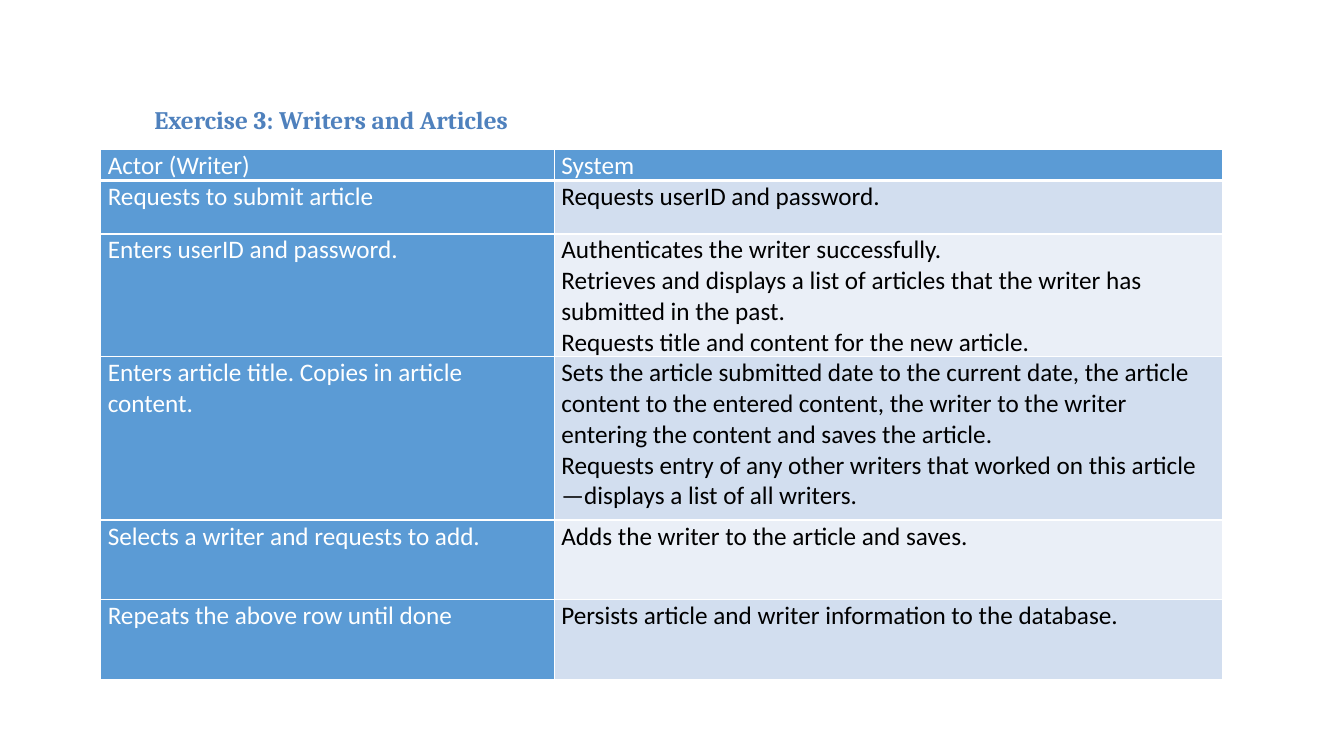
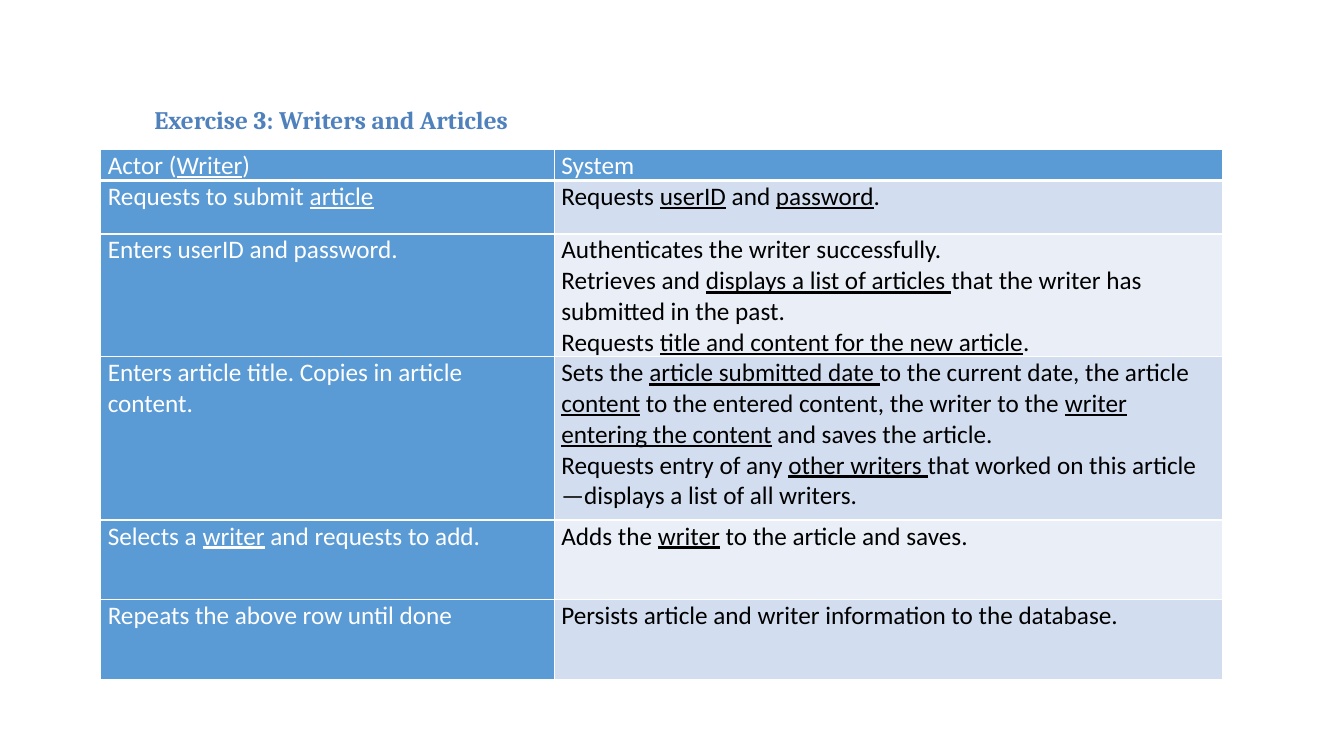
from dataclasses import dataclass

from lxml.etree import SubElement
from pptx import Presentation
from pptx.dml.color import RGBColor as Color
from pptx.enum.text import MSO_ANCHOR as Anchor, MSO_AUTO_SIZE as AutoSize, PP_ALIGN as Align
from pptx.oxml.ns import qn
from pptx.util import Pt


@dataclass(frozen=True)
class Theme:
    title_font: str = "Cambria"
    body_font: str = "Calibri"
    text_size: int = 18
    title: str = "4F81BD"
    accent: str = "5B9BD5"
    dark_band: str = "D2DEEF"
    light_band: str = "EAEFF7"
    white: str = "FFFFFF"
    black: str = "000000"


theme = Theme()

TITLE = "Exercise 3: Writers and Articles"
COLUMN_WIDTHS = [324, 477.4]
ROW_HEIGHTS = [19.5, 38.2, 87.8, 116.6, 57, 57]
UNDERLINE_MARK = "_"
STEPS = [
    (["Actor (_Writer_)"], ["System"]),
    (["Requests to submit _article_"], ["Requests _userID_ and _password_."]),
    (
        ["Enters userID and password."],
        [
            "Authenticates the writer successfully.",
            "Retrieves and _displays a list of articles _that the writer has submitted in the past.",
            "Requests _title and content for the new article_.",
        ],
    ),
    (
        ["Enters article title. Copies in article content."],
        [
            "Sets the _article submitted date _to the current date, the article _content_ to the "
            "entered content, the writer to the _writer entering the content_ and saves the article.",
            "Requests entry of any _other writers _that worked on this article"
            "—displays a list of all writers.",
        ],
    ),
    (["Selects a _writer_ and requests to add."], ["Adds the _writer_ to the article and saves."]),
    (
        ["Repeats the above row until done"],
        ["Persists article and writer information to the database."],
    ),
]


def set_borders(cell, bottom_width):
    properties = cell._tc.get_or_add_tcPr()
    for side, width in (("lnL", 1), ("lnR", 1), ("lnT", 1), ("lnB", bottom_width)):
        line = SubElement(properties, qn(f"a:{side}"), w=str(Pt(width)))
        fill = SubElement(line, qn("a:solidFill"))
        SubElement(fill, qn("a:srgbClr"), val=theme.white)


def write_cell(cell, lines, color, underlined):
    cell.margin_left = cell.margin_right = Pt(5)
    cell.margin_top, cell.margin_bottom = Pt(0.7), Pt(0)
    frame = cell.text_frame
    for index, line in enumerate(lines):
        paragraph = frame.add_paragraph() if index else frame.paragraphs[0]
        paragraph.font.name = theme.body_font
        paragraph.font.size = Pt(theme.text_size)
        paragraph.font.color.rgb = Color.from_string(color)
        if not underlined:
            paragraph.add_run().text = line.replace(UNDERLINE_MARK, "")
            continue
        for position, part in enumerate(line.split(UNDERLINE_MARK)):
            if part:
                run = paragraph.add_run()
                run.text = part
                if position % 2:
                    run.font.underline = True


presentation = Presentation()
presentation.slide_width = Pt(960)
presentation.slide_height = Pt(540)
title_only = presentation.slide_layouts[5]

for underlined in (False, True):
    slide = presentation.slides.add_slide(title_only)

    title = slide.shapes.title
    title.left, title.top, title.width, title.height = Pt(103), Pt(70.6), Pt(275.8), Pt(28.8)
    frame = title.text_frame
    frame.text = TITLE
    frame.word_wrap = False
    frame.auto_size = AutoSize.SHAPE_TO_FIT_TEXT
    frame.vertical_anchor = Anchor.TOP
    paragraph = frame.paragraphs[0]
    paragraph.alignment = Align.LEFT
    paragraph.space_before = Pt(10)
    paragraph.font.name = theme.title_font
    paragraph.font.size = Pt(theme.text_size)
    paragraph.font.bold = True
    paragraph.font.color.rgb = Color.from_string(theme.title)

    table = slide.shapes.add_table(
        len(ROW_HEIGHTS), len(COLUMN_WIDTHS), Pt(72), Pt(106.6),
        Pt(sum(COLUMN_WIDTHS)), Pt(sum(ROW_HEIGHTS)),
    ).table
    table.first_row = table.horz_banding = False
    for column, width in zip(table.columns, COLUMN_WIDTHS):
        column.width = Pt(width)
    for row, height in zip(table.rows, ROW_HEIGHTS):
        row.height = Pt(height)

    for row_index, step in enumerate(STEPS):
        for column_index, lines in enumerate(step):
            cell = table.cell(row_index, column_index)
            is_header = row_index == 0
            on_accent = is_header or column_index == 0
            band = theme.dark_band if row_index % 2 else theme.light_band
            set_borders(cell, 3 if is_header else 1)
            cell.fill.solid()
            cell.fill.fore_color.rgb = Color.from_string(theme.accent if on_accent else band)
            write_cell(cell, lines, theme.white if on_accent else theme.black, underlined)

presentation.save("out.pptx")
